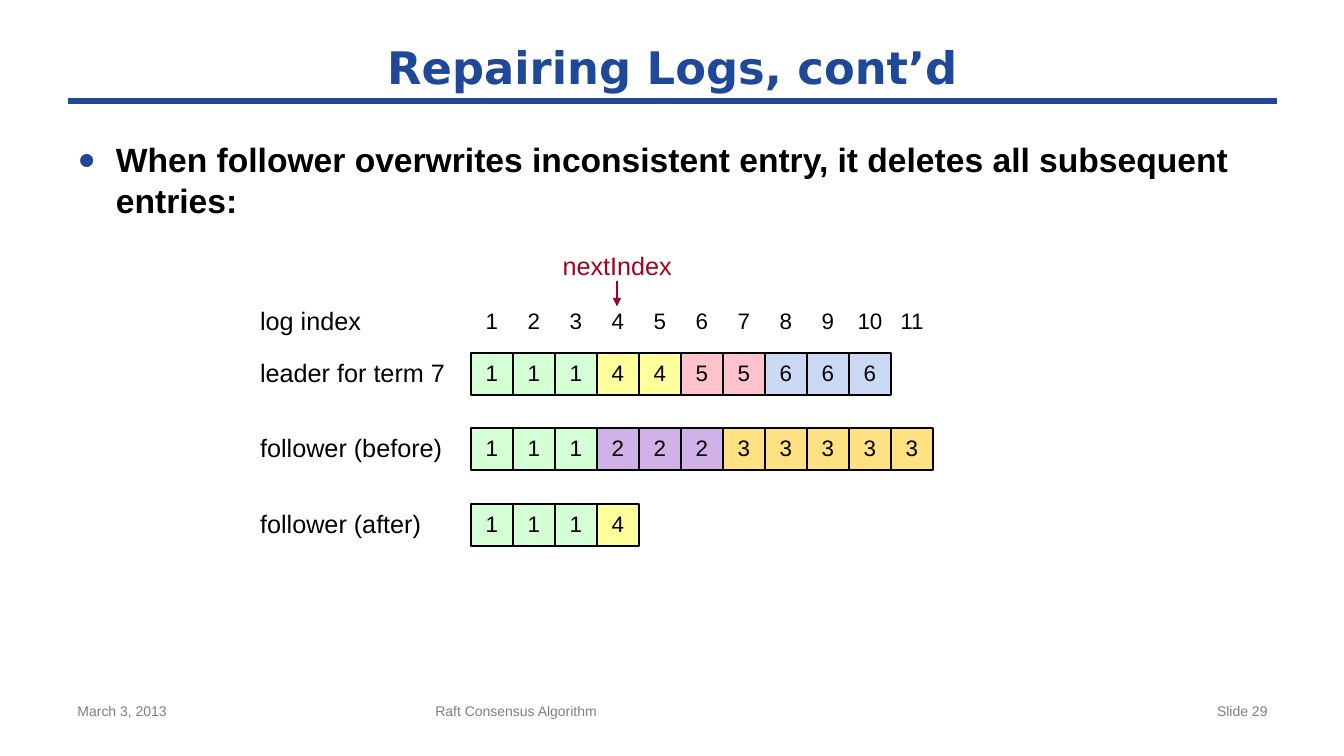
import pptx
import pptx.dml.color
import pptx.enum.shapes
import pptx.enum.text
import pptx.oxml
import pptx.oxml.ns
import pptx.util
from lxml import etree

Inches = pptx.util.Inches
Pt = pptx.util.Pt
ALIGN = pptx.enum.text.PP_ALIGN
ANCHOR = pptx.enum.text.MSO_ANCHOR
AUTO = pptx.enum.text.MSO_AUTO_SIZE

BLUE, RED, GRAY, BLACK = "1F4899", "A5001E", "7F7F7F", "000000"
TERM_FILLS = {1: "D5FFD5", 2: "D1B2E8", 3: "FFE181",
              4: "FFFF9B", 5: "FFC3CE", 6: "CCD9F4"}
CELL = 5 / 12
LOG_LEFT = 4.67
LABEL_LEFT = 2.58
LOGS = [
    ("leader for term 7", 3.5, [1, 1, 1, 4, 4, 5, 5, 6, 6, 6]),
    ("follower (before)", 4.25, [1, 1, 1, 2, 2, 2, 3, 3, 3, 3, 3]),
    ("follower (after)", 5, [1, 1, 1, 4]),
]


def rgb(value):
    return pptx.dml.color.RGBColor.from_string(value)


def sub(parent, tag, **attrs):
    return etree.SubElement(parent, pptx.oxml.ns.qn(tag), attrs)


def write(sp, text, size=18, color=BLACK, font="Arial", bold=False,
          align=ALIGN.LEFT, anchor=ANCHOR.TOP, inset=True, wrap=True,
          spacing=None, auto=AUTO.NONE):
    tf = sp.text_frame
    tf.word_wrap = wrap
    tf.auto_size = auto
    tf.vertical_anchor = anchor
    tf.margin_left = tf.margin_right = Inches(0.1 if inset else 0)
    tf.margin_top = tf.margin_bottom = Inches(0.05 if inset else 0)
    p = tf.paragraphs[0]
    p.alignment = align
    p.space_before = Pt(0)
    if spacing:
        p.line_spacing = Pt(spacing)
    r = p.add_run()
    r.text = text
    r.font.size = Pt(size)
    r.font.name = font
    r.font.bold = bold
    r.font.color.rgb = rgb(color)
    return p


class LogSlide:
    def __init__(self, prs):
        self.s = prs.slides.add_slide(prs.slide_layouts[1])

    def place(self, sp, x, y, w, h):
        sp.left, sp.top, sp.width, sp.height = map(Inches, (x, y, w, h))

    def title(self, text):
        sp = self.s.shapes.title
        self.place(sp, 0.67, 0.33, 12, 0.67)
        write(sp, text, size=32, color=BLUE, font="DejaVu Sans", bold=True,
              align=ALIGN.CENTER, anchor=ANCHOR.MIDDLE)

    def bullet(self, text):
        sp = self.s.placeholders[1]
        self.place(sp, 0.67, 1.33, 12, 5.37)
        pPr = sp.text_frame.paragraphs[0]._p.get_or_add_pPr()
        pPr.set("marL", str(Inches(0.38)))
        pPr.set("indent", str(Inches(-0.38)))
        sub(sub(pPr, "a:buClr"), "a:srgbClr", val=BLUE)
        sub(pPr, "a:buSzPct", val="90000")
        sub(pPr, "a:buFont", typeface="Arial")
        sub(pPr, "a:buChar", char="●")
        write(sp, text, size=24, bold=True)

    def text(self, text, x, y, w, h, **fmt):
        sp = self.s.shapes.add_textbox(*map(Inches, (x, y, w, h)))
        write(sp, text, **fmt)

    def label(self, text, x, y, w, **fmt):
        self.text(text, x, y, w, 0.27, inset=False, wrap=False,
                  spacing=19, **fmt)

    def cell(self, term, x, y):
        sp = self.s.shapes.add_shape(
            pptx.enum.shapes.MSO_SHAPE.RECTANGLE,
            Inches(x), Inches(y), Inches(CELL), Inches(CELL))
        sp.shadow.inherit = False
        sp.fill.solid()
        sp.fill.fore_color.rgb = rgb(TERM_FILLS[term])
        sp.line.color.rgb = rgb(BLACK)
        sp.line.width = Pt(1.5)
        write(sp, str(term), size=16, align=ALIGN.CENTER,
              anchor=ANCHOR.MIDDLE, inset=False, spacing=17)

    def line(self, x1, y1, x2, y2, color, width, arrow=False):
        cxn = self.s.shapes.add_connector(
            pptx.enum.shapes.MSO_CONNECTOR.STRAIGHT,
            *map(Inches, (x1, y1, x2, y2)))
        cxn.line.color.rgb = rgb(color)
        cxn.line.width = Pt(width)
        if arrow:
            sub(cxn.line._get_or_add_ln(), "a:tailEnd", type="triangle")
        sub(cxn._element.spPr, "a:effectLst")


def main():
    prs = pptx.Presentation()
    prs.slide_width, prs.slide_height = Inches(13.33), Inches(7.5)
    slide = LogSlide(prs)

    slide.line(0.67, 1, 12.67, 1, BLUE, 4)
    slide.title("Repairing Logs, cont’d")
    slide.bullet("When follower overwrites inconsistent entry, "
                 "it deletes all subsequent entries:")

    for text, x, w, align in [
            ("March 3, 2013", 0.67, 3.11, ALIGN.LEFT),
            ("Raft Consensus Algorithm", 4.22, 5, ALIGN.LEFT),
            ("Slide 29", 9.56, 3.11, ALIGN.RIGHT)]:
        slide.text(text, x, 6.92, w, 0.43, size=10, color=GRAY, align=align)

    slide.text("log index", LABEL_LEFT, 3.03, 1.25, 0.3, inset=False)
    for i in range(11):
        w = CELL if i < 9 else 0.58
        x = LOG_LEFT + (i + 0.5) * CELL - w / 2
        slide.text(str(i + 1), x, 3, w, 0.37, size=16, align=ALIGN.CENTER)

    for name, y, terms in LOGS:
        slide.label(name, LABEL_LEFT, y + 0.08, 2)
        for i, term in enumerate(terms):
            slide.cell(term, LOG_LEFT + i * CELL, y)

    slide.line(6.12, 2.79, 6.12, 3.04, RED, 2, arrow=True)
    slide.label("nextIndex", 5.58, 2.52, 1.09, color=RED)

    prs.save("out.pptx")


if __name__ == "__main__":
    main()
